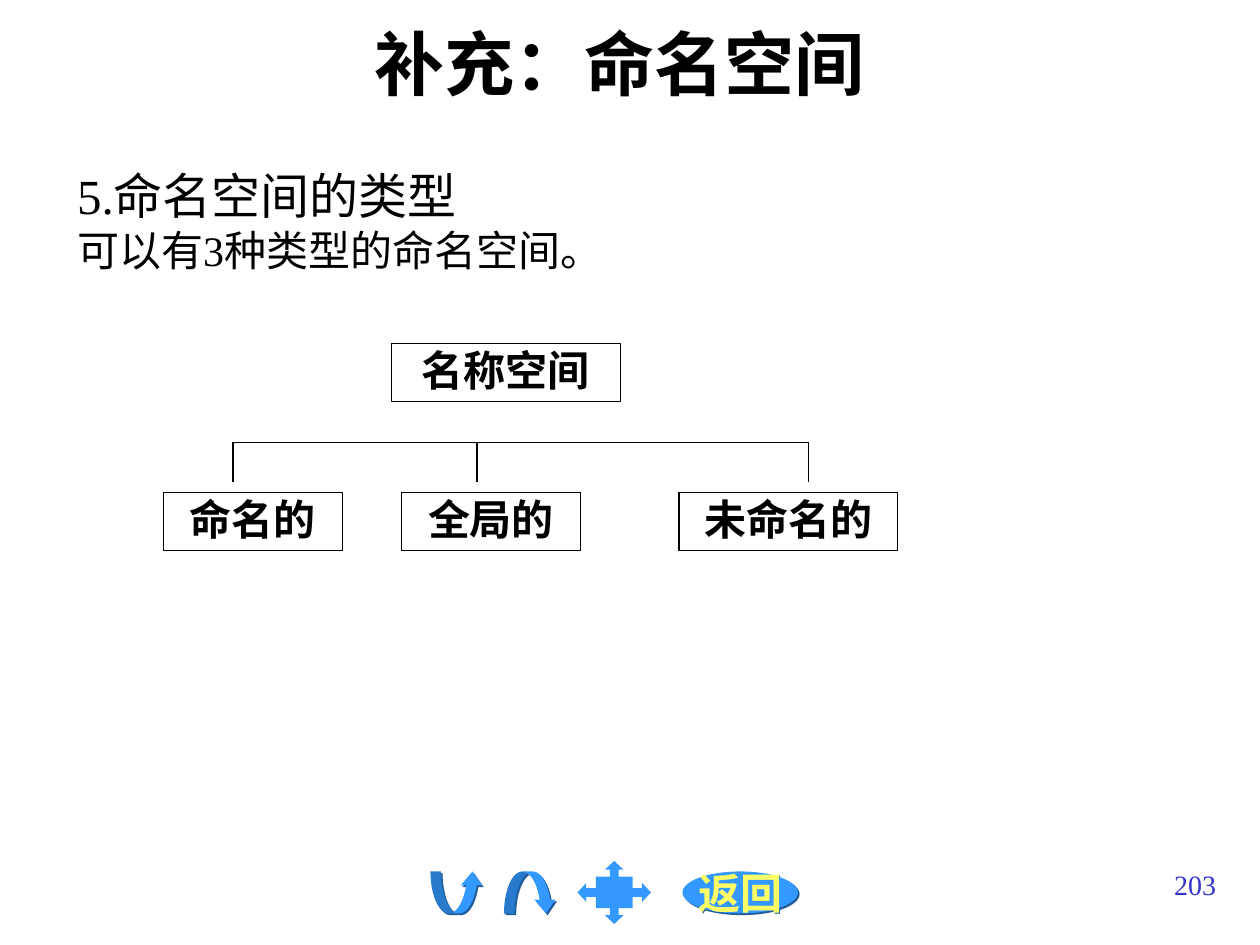
from dataclasses import dataclass

from lxml.etree import SubElement
from pptx import Presentation
from pptx.dml.color import RGBColor
from pptx.enum.shapes import MSO_CONNECTOR, MSO_SHAPE
from pptx.enum.text import MSO_ANCHOR, PP_ALIGN
from pptx.oxml.ns import qn
from pptx.util import Pt


@dataclass(frozen=True)
class Theme:
    font: str = "Times New Roman"
    ink: str = "000000"
    button: str = "3399FF"
    button_shadow: str = "1E5B98"
    button_text: str = "FFFF66"
    page_number: str = "3333CC"
    title_size: float = 40
    heading_size: float = 28
    body_size: float = 24
    number_size: float = 16
    rule: float = 0.75


THEME = Theme()


def rgb(value):
    return RGBColor.from_string(value)


def style(p, size, color=THEME.ink, bold=False, align=PP_ALIGN.LEFT):
    p.alignment = align
    p.font.name = THEME.font
    p.font.size = Pt(size)
    p.font.bold = bold
    p.font.color.rgb = rgb(color)


def add_text(s, box, text, size, anchor=MSO_ANCHOR.TOP, **look):
    tf = s.shapes.add_textbox(*map(Pt, box)).text_frame
    tf.word_wrap = True
    tf.vertical_anchor = anchor
    p = tf.paragraphs[0]
    p.text = text
    style(p, size, **look)
    return tf


def add_title(s, box):
    add_text(s, box, "补充：命名空间", THEME.title_size, MSO_ANCHOR.MIDDLE,
             bold=True, align=PP_ALIGN.CENTER)


def add_body(s, box):
    tf = add_text(s, box, "5.命名空间的类型", THEME.heading_size)
    tf.paragraphs[0].line_spacing = 0.8
    p = tf.add_paragraph()
    p.text = "可以有3种类型的命名空间。"
    style(p, THEME.body_size)
    p.line_spacing = 0.8
    p.space_before = Pt(6)


def add_node(s, left, top, width, height, text):
    sp = s.shapes.add_shape(MSO_SHAPE.RECTANGLE, *map(Pt, (left, top, width, height)))
    sp.shadow.inherit = False
    sp.fill.background()
    sp.line.color.rgb = rgb(THEME.ink)
    sp.line.width = Pt(THEME.rule)
    tf = sp.text_frame
    tf.word_wrap = True
    tf.vertical_anchor = MSO_ANCHOR.MIDDLE
    p = tf.paragraphs[0]
    p.text = text
    style(p, THEME.body_size, bold=True, align=PP_ALIGN.CENTER)
    p.line_spacing = 0.9


def add_rule(s, x1, y1, x2, y2):
    line = s.shapes.add_connector(MSO_CONNECTOR.STRAIGHT, *map(Pt, (x1, y1, x2, y2)))
    line.line.color.rgb = rgb(THEME.ink)
    line.line.width = Pt(THEME.rule)
    SubElement(line._element.spPr, qn("a:effectLst"))


def add_namespace_tree(s, box):
    """A root node over a bar whose drops lead to three kinds of namespace."""
    left, top, _, height = box
    node_height = 33.2
    bar, drop_end = top + 56.4, top + 79.3
    child_top = top + height - node_height
    add_node(s, left + 130.2, top, 131, node_height, "名称空间")

    children = [  # text, offset, width, offset of the drop
        ("命名的", 0, 102.4, 39.8),
        ("全局的", 136, 102.4, 179.1),
        ("未命名的", 294.6, 125, 368.5),
    ]
    for text, offset, width, drop in children:
        add_node(s, left + offset, child_top, width, node_height, text)
        add_rule(s, left + drop, bar, left + drop, drop_end)
    add_rule(s, left + children[0][3], bar, left + children[-1][3], bar)


def add_button(s, kind, box, adjustments=(), shadow=True):
    sp = s.shapes.add_shape(kind, *map(Pt, box))
    for i, value in enumerate(adjustments):
        sp.adjustments[i] = value
    sp.fill.solid()
    sp.fill.fore_color.rgb = rgb(THEME.button)
    sp.line.fill.background()
    sp.shadow.inherit = False
    if shadow:
        effects = sp._element.spPr.find(qn("a:effectLst"))
        outer = SubElement(effects, qn("a:outerShdw"), dist=str(Pt(1.4)),
                           dir="2700000", algn="ctr", rotWithShape="0")
        SubElement(outer, qn("a:srgbClr"), val=THEME.button_shadow)
    return sp


def add_navigation(s, box):
    left, top, _, height = box
    inner_top, inner_height = top + 6, height - 12
    curve = (0.25, 0.5, 0.33)
    add_button(s, MSO_SHAPE.CURVED_UP_ARROW, (left, inner_top, 30, inner_height), curve)
    add_button(s, MSO_SHAPE.CURVED_DOWN_ARROW,
               (left + 42, inner_top, 30, inner_height), curve)
    add_button(s, MSO_SHAPE.QUAD_ARROW_CALLOUT, (left + 84, top, 42, height),
               (0.14, 0.15, 0.14, 0.5), shadow=False)
    sp = add_button(s, MSO_SHAPE.OVAL, (left + 144, inner_top, 66, inner_height))
    tf = sp.text_frame
    tf.word_wrap = False
    tf.vertical_anchor = MSO_ANCHOR.MIDDLE
    p = tf.paragraphs[0]
    p.text = "返回"
    style(p, THEME.body_size, THEME.button_text, True, PP_ALIGN.CENTER)


def add_page_number(s, box):
    add_text(s, box, "203", THEME.number_size,
             color=THEME.page_number, align=PP_ALIGN.RIGHT)


def main():
    prs = Presentation()
    prs.slide_width, prs.slide_height = Pt(720), Pt(540)
    s = prs.slides.add_slide(prs.slide_layouts[6])
    add_navigation(s, (246, 492, 210, 36))
    add_title(s, (48, 0, 612, 72))
    add_body(s, (37, 97.5, 652, 405))
    add_namespace_tree(s, (93.4, 196.3, 419.6, 118.2))
    add_page_number(s, (552, 492, 150, 36))
    prs.save("out.pptx")


if __name__ == "__main__":
    main()
